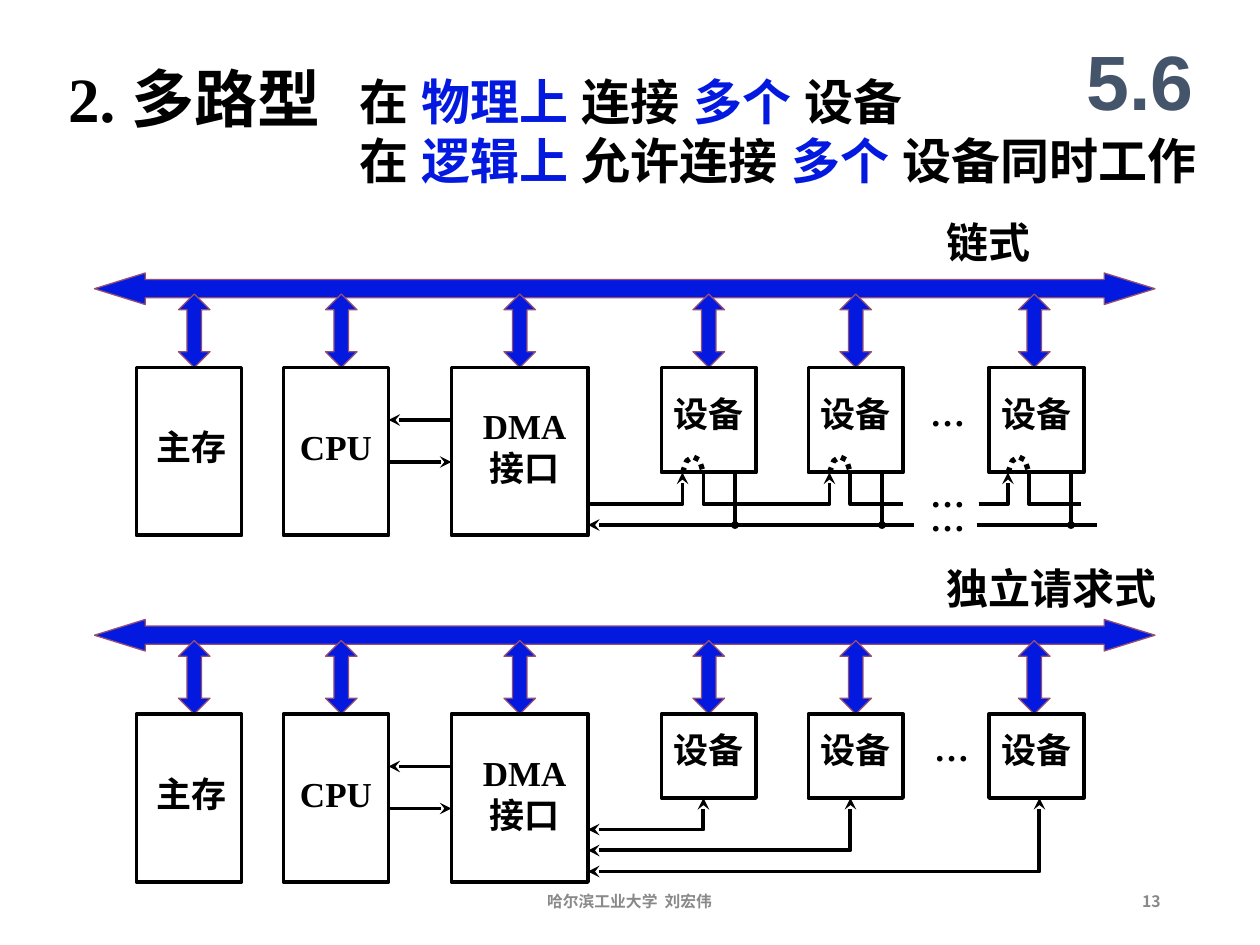
from lxml.etree import SubElement
from pptx import Presentation
from pptx.dml.color import RGBColor
from pptx.enum.dml import MSO_LINE
from pptx.enum.shapes import MSO_CONNECTOR, MSO_SHAPE
from pptx.enum.text import MSO_ANCHOR, MSO_AUTO_SIZE, PP_ALIGN
from pptx.oxml.ns import qn
from pptx.util import Cm, Pt

BLACK = RGBColor(0x00, 0x00, 0x00)
BLUE = RGBColor(0x04, 0x19, 0xE0)
PLUM = RGBColor(0x95, 0x4F, 0x72)
SLATE = RGBColor(0x44, 0x54, 0x6A)
GRAY = RGBColor(0x89, 0x89, 0x89)
SERIF, SANS, CHINESE = "Times New Roman", "Arial", "Noto Sans CJK SC"

GRID_CM = 2.54 / 12
BLOCK_TOP = 15
DMA_LEFT, DMA_RIGHT = 34, 47
DEVICE_LEFTS = (54, 68, 85.2)
GRANT_INPUTS = (56, 70, 87)
REQUEST_TAPS = (61, 75, 93)


def format_run(run, size, color=BLACK, font=SERIF):
    """Make a run bold, with sans-serif Chinese beside a serif Latin face."""
    run.font.size = Pt(size)
    run.font.bold = True
    run.font.color.rgb = color
    run.font.name = font
    east_asian = SANS if font == SERIF else font
    SubElement(run.font._element, qn("a:ea"), typeface=east_asian)


def fill_text(text_frame, text, size, color=BLACK, font=SERIF, align=PP_ALIGN.LEFT):
    """Set the text of a frame and format all of it alike."""
    text_frame.text = text
    for paragraph in text_frame.paragraphs:
        paragraph.alignment = align
        for run in paragraph.runs:
            format_run(run, size, color, font)


def add_text(slide, box, text, size, anchor=MSO_ANCHOR.TOP, **style):
    """Add a wrapping text box at a box of lengths."""
    text_frame = slide.shapes.add_textbox(*box).text_frame
    text_frame.word_wrap = True
    text_frame.vertical_anchor = anchor
    fill_text(text_frame, text, size, **style)


def add_heading(slide, left, top):
    """Place the title, its two-line explanation and the section number."""
    title = slide.shapes.title
    title.left, title.top = Cm(left), Cm(top)
    title.width, title.height = Cm(6.2), Cm(1.78)
    title.text_frame.word_wrap = False
    title.text_frame.auto_size = MSO_AUTO_SIZE.NONE
    title.text_frame.vertical_anchor = MSO_ANCHOR.TOP
    title.text_frame.margin_right = 0
    fill_text(title.text_frame, "2. 多路型", 36)

    lines = (
        ("在 ", "物理上 ", "连接 ", "多个 ", "设备"),
        ("在 ", "逻辑上 ", "允许连接 ", "多个 ", "设备同时工作"),
    )
    explanation = slide.shapes.add_textbox(
        Cm(left + 5.87), Cm(top + 0.25), Cm(18.41), Cm(2.64)
    ).text_frame
    explanation.word_wrap = True
    explanation.add_paragraph()
    for paragraph, parts in zip(explanation.paragraphs, lines):
        for index, part in enumerate(parts):
            run = paragraph.add_run()
            run.text = part
            format_run(run, 28, BLUE if index % 2 else BLACK)

    add_text(slide, (Cm(left + 20.27), Cm(top - 0.64), Cm(3.18), Cm(2.34)), "5.6", 44,
             MSO_ANCHOR.MIDDLE, color=SLATE, font=SANS, align=PP_ALIGN.CENTER)


def add_footer(slide, top):
    """Place the footer text and the page number."""
    for left, width, text, align in (
        (8.41, 8.56, "哈尔滨工业大学  刘宏伟", PP_ALIGN.CENTER),
        (17.93, 5.72, "13", PP_ALIGN.RIGHT),
    ):
        add_text(slide, (Cm(left), Cm(top), Cm(width), Cm(1.02)), text, 9,
                 MSO_ANCHOR.MIDDLE, color=GRAY, font=CHINESE, align=align)


class Diagram:
    """A bus diagram whose parts lie on a grid counted from its top left corner."""

    def __init__(self, slide, left, top):
        """Remember the slide and the corner in grid units."""
        self.slide, self.left, self.top = slide, left, top

    def point(self, x, y):
        """Turn a grid position into slide lengths."""
        return Cm((self.left + x) * GRID_CM), Cm((self.top + y) * GRID_CM)

    def box(self, x, y, width, height):
        """Turn a grid box into slide lengths."""
        return (*self.point(x, y), Cm(width * GRID_CM), Cm(height * GRID_CM))

    def text(self, x, y, width, height, text, size):
        """Write a free-standing label."""
        add_text(self.slide, self.box(x, y, width, height), text, size)

    def block(self, x, width, height, text, text_top, text_left=0):
        """Draw an outlined block with its name."""
        shape = self.slide.shapes.add_shape(
            MSO_SHAPE.RECTANGLE, *self.box(x, BLOCK_TOP, width, height))
        shape.shadow.inherit = False
        shape.fill.background()
        shape.line.color.rgb = BLACK
        shape.line.width = Pt(2.25)
        text_frame = shape.text_frame
        text_frame.vertical_anchor = MSO_ANCHOR.TOP
        text_frame.margin_top, text_frame.margin_left = Cm(text_top), Cm(text_left)
        text_frame.margin_right = text_frame.margin_bottom = 0
        fill_text(text_frame, text, 20, align=PP_ALIGN.CENTER)

    def bus_arrow(self, kind, box, adjustments):
        """Draw a blue double-headed block arrow."""
        shape = self.slide.shapes.add_shape(kind, *self.box(*box))
        shape.shadow.inherit = False
        shape.fill.solid()
        shape.fill.fore_color.rgb = BLUE
        shape.line.color.rgb = PLUM
        shape.line.width = Pt(0.75)
        for index, value in enumerate(adjustments):
            shape.adjustments[index] = value

    def wire(self, *points, head=None, tail=None, end_size="med", width=2.25, dash=None):
        """Draw a straight or bent signal line through grid points."""
        start, *others = (self.point(*point) for point in points)
        if len(others) == 1:
            shape = self.slide.shapes.add_connector(
                MSO_CONNECTOR.STRAIGHT, *start, *others[0])
            SubElement(shape._element.spPr, qn("a:effectLst"))
        else:
            builder = self.slide.shapes.build_freeform(*start)
            builder.add_line_segments(others, close=False)
            shape = builder.convert_to_shape()
            shape.shadow.inherit = False
            shape.fill.background()
        shape.line.color.rgb = BLACK
        shape.line.width = Pt(width)
        if dash:
            shape.line.dash_style = dash
        for tag, end in (("a:headEnd", head), ("a:tailEnd", tail)):
            if end:
                SubElement(shape.line._get_or_add_ln(), qn(tag),
                           type=end, w=end_size, len=end_size)


def add_bus_system(slide, left, top, name, device_height, device_text_top):
    """Draw the parts that both request schemes share."""
    diagram = Diagram(slide, left, top)
    diagram.text(80, 0, 30, 6, name, 24)
    diagram.bus_arrow(MSO_SHAPE.LEFT_RIGHT_ARROW, (0, 6, 101, 3), (0.58, 1.61))
    for x in (8, 22, 39, *(grant_input + 1 for grant_input in GRANT_INPUTS)):
        diagram.bus_arrow(MSO_SHAPE.UP_DOWN_ARROW, (x, 8, 3, 7), (0.5, 0.46))
    diagram.block(4, 10, 16, "主存", 1.17, 0.12)
    diagram.block(18, 10, 16, "CPU", 1.17)
    diagram.block(DMA_LEFT, 13, 16, "DMA\n接口", 0.75, 0.2)
    for device in DEVICE_LEFTS:
        diagram.block(device, 9, device_height, "设备", device_text_top)
    diagram.wire((28, 24), (DMA_LEFT, 24), tail="stealth")
    diagram.wire((DMA_LEFT, 20), (28, 20), tail="stealth")
    return diagram


def add_chain_diagram(slide, left, top):
    """Draw the scheme whose grant line runs through one device after another."""
    diagram = add_bus_system(slide, left, top, "链式", 10, 0.5)
    edge, grant, request = 25, 28, 30
    for source, x in zip((DMA_RIGHT, 58, 84.2), GRANT_INPUTS):
        rise = [(source, edge)] if source == 58 else []
        diagram.wire(*rise, (source, grant), (x, grant), (x, edge), tail="stealth")
    for x, end in zip(GRANT_INPUTS[1:], (77, 94)):
        diagram.wire((x + 2, edge), (x + 2, grant), (end, grant))
    arc = ((0, 0), (0.4, -1.1), (1, -1.5), (1.6, -1.2), (2, 0))
    for grant_input, tap in zip(GRANT_INPUTS, REQUEST_TAPS):
        diagram.wire((tap, edge), (tap, request), tail="oval", end_size="sm")
        diagram.wire(*((grant_input + x, edge + y) for x, y in arc),
                     width=3, dash=MSO_LINE.ROUND_DOT)
    diagram.wire((78, request), (DMA_RIGHT, request), tail="stealth")
    diagram.wire((84, request), (95.5, request))
    for y in (16.7, 24.4, 26.7):
        diagram.text(78.4, y, 5.8, 5.3, "…", 20)


def add_independent_diagram(slide, left, top):
    """Draw the scheme in which each device has its own request line."""
    diagram = add_bus_system(slide, left, top, "独立请求式", 8, 0.3)
    for index, x in enumerate((58, 72, 90)):
        y = 26 + 2 * index
        diagram.wire((DMA_RIGHT, y), (x, y), (x, 23), head="stealth", tail="stealth")
    diagram.text(78.8, 15.6, 5.8, 5.3, "…", 20)


def main():
    """Build the slide and save it."""
    presentation = Presentation()
    presentation.slide_width, presentation.slide_height = Cm(25.4), Cm(19.05)
    slide = presentation.slides.add_slide(presentation.slide_layouts[5])
    add_heading(slide, 1.12, 1.07)
    add_chain_diagram(slide, 9, 20)
    add_independent_diagram(slide, 9, 53)
    add_footer(slide, 17.65)
    presentation.save("out.pptx")


if __name__ == "__main__":
    main()
